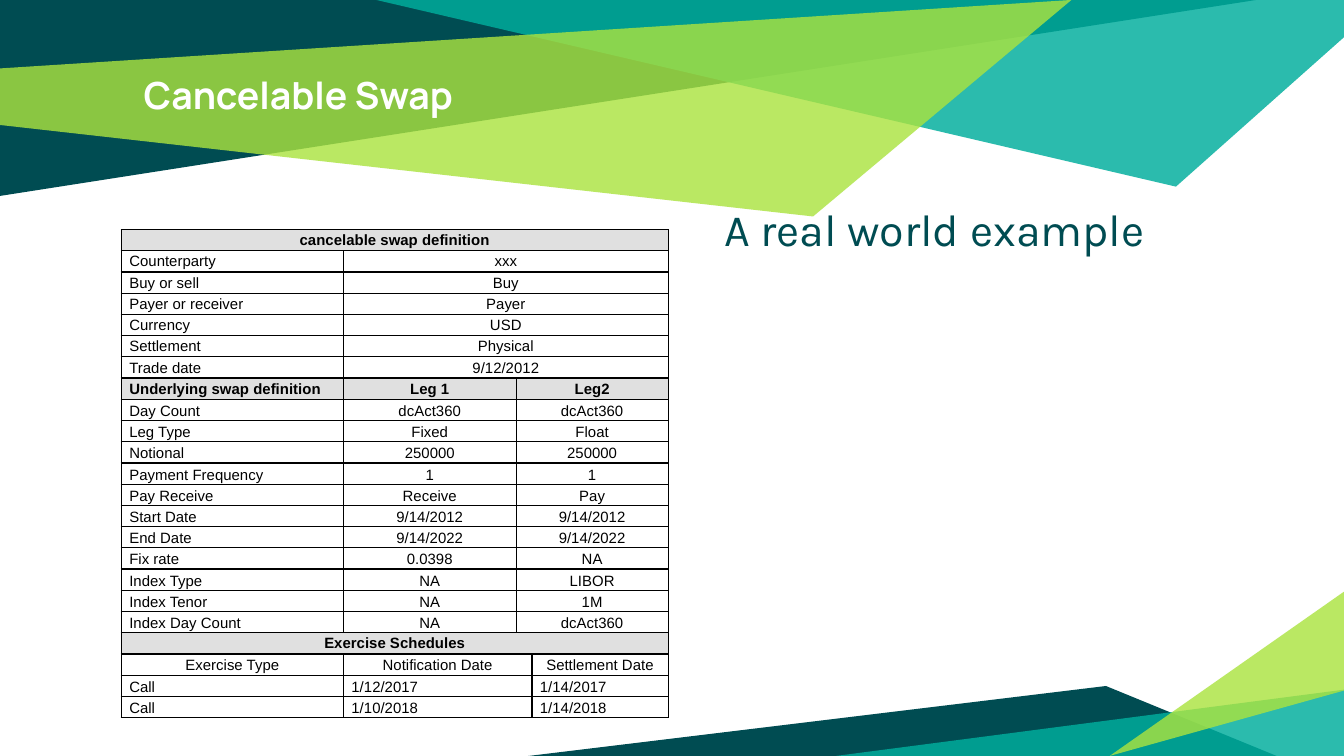
from lxml.etree import SubElement
from pptx import Presentation
from pptx.dml.color import RGBColor
from pptx.enum.text import MSO_ANCHOR, MSO_AUTO_SIZE, PP_ALIGN
from pptx.oxml import parse_xml
from pptx.oxml.ns import nsdecls, qn
from pptx.util import Pt

TOP, MIDDLE = MSO_ANCHOR.TOP, MSO_ANCHOR.MIDDLE
LEFT, CENTER = PP_ALIGN.LEFT, PP_ALIGN.CENTER
NO_FIT = MSO_AUTO_SIZE.NONE

WIDE, HIGH = 720, 405
DARK, TEAL, LIME = "004C52", "00AE9D", "ABE33F"
BLACK, WHITE, GREY = "000000", "FFFFFF", "E0E0E0"

BANDS = [
    (DARK, 100, [(0, 0), (0, 105), (673, 0)]),
    (TEAL, 83, [(201.6, 0), (630, 100), (WIDE, 20), (WIDE, 0)]),
    (LIME, 81, [(0, 36.7), (0, 67), (435.6, 116), (574, 0)]),
    (DARK, 100, [(283, HIGH), (684, HIGH), (592.5, 367.5)]),
    (TEAL, 83, [(WIDE, 369.5), (WIDE, HIGH), (448, HIGH)]),
    (LIME, 81, [(WIDE, 370), (WIDE, 317), (594.5, HIGH)]),
]

COLS = [119, 92.5, 8.5, 73]
ROW = 11.39
WHOLE, PAIR, LEGS, DATES = (0,), (0, 1), (0, 1, 2), (0, 1, 3)
PARTS = [
    (WHOLE, True, TOP, [CENTER], [["cancelable swap definition"]]),
    (PAIR, False, TOP, [LEFT, CENTER], [
        ["Counterparty", "xxx"],
        ["Buy or sell", "Buy"],
        ["Payer or receiver", "Payer"],
        ["Currency", "USD"],
        ["Settlement", "Physical"],
        ["Trade date", "9/12/2012"],
    ]),
    (LEGS, True, TOP, [LEFT, CENTER, CENTER], [
        ["Underlying swap definition", "Leg 1", "Leg2"],
    ]),
    (LEGS, False, MIDDLE, [LEFT, CENTER, CENTER], [
        ["Day Count", "dcAct360", "dcAct360"],
        ["Leg Type", "Fixed", "Float"],
        ["Notional", "250000", "250000"],
        ["Payment Frequency", "1", "1"],
        ["Pay Receive", "Receive", "Pay"],
        ["Start Date", "9/14/2012", "9/14/2012"],
        ["End Date", "9/14/2022", "9/14/2022"],
        ["Fix rate", "0.0398", "NA"],
        ["Index Type", "NA", "LIBOR"],
        ["Index Tenor", "NA", "1M"],
        ["Index Day Count", "NA", "dcAct360"],
    ]),
    (WHOLE, True, TOP, [CENTER], [["Exercise Schedules"]]),
    (DATES, False, TOP, [CENTER, CENTER, CENTER], [
        ["Exercise Type", "Notification Date", "Settlement Date"],
    ]),
    (DATES, False, MIDDLE, [LEFT, LEFT, LEFT], [
        ["Call", "1/12/2017", "1/14/2017"],
        ["Call", "1/10/2018", "1/14/2018"],
    ]),
]


def paint(fill, tone):
    fill.solid()
    fill.fore_color.rgb = RGBColor.from_string(tone)


def add_run(para, text, font, size, tone, bold=False):
    run = para.add_run()
    run.text = text
    run.font.name = font
    run.font.size = Pt(size)
    run.font.bold = bold
    paint(run.font.fill, tone)


def add_band(slide, tone, alpha, spots):
    spots = [(Pt(x), Pt(y)) for x, y in spots]
    pen = slide.shapes.build_freeform(*spots[0])
    pen.add_line_segments(spots[1:], close=True)
    band = pen.convert_to_shape()
    band.shadow.inherit = False
    band.line.fill.background()
    paint(band.fill, tone)
    if alpha < 100:
        clr = band.element.spPr.find(".//" + qn("a:srgbClr"))
        SubElement(clr, qn("a:alpha"), val=str(alpha * 1000))


def set_holder(shape, box, align):
    shape.left, shape.top, shape.width, shape.height = map(Pt, box)
    frame = shape.text_frame
    frame.auto_size = NO_FIT
    frame.word_wrap = True
    frame.vertical_anchor = TOP
    frame.margin_left = frame.margin_right = Pt(7.2)
    frame.margin_top = frame.margin_bottom = Pt(7.2)
    shape.element.getparent().append(shape.element)
    para = frame.paragraphs[0]
    para.alignment = align
    return para


def add_title(slide):
    para = set_holder(slide.shapes.title, (69.8, 31.7, 580.3, 46), LEFT)
    add_run(para, "Cancelable Swap", "Manrope", 20, WHITE, True)


def add_body(slide):
    para = set_holder(slide.placeholders[1], (332, 100.8, 331.2, 266.4), CENTER)
    para.space_before = Pt(6)
    props = para._p.get_or_add_pPr()
    props.set("marL", str(Pt(5.8)))
    props.set("indent", "0")
    SubElement(props, qn("a:buNone"))
    add_run(para, "A real world example", "Karla", 24, DARK)


def set_cell(cell, shade):
    cell.margin_left = cell.margin_right = Pt(4.3)
    cell.margin_top = cell.margin_bottom = 0
    if shade:
        paint(cell.fill, GREY)
    else:
        cell.fill.background()
    props = cell._tc.get_or_add_tcPr()
    for spot, side in enumerate("LRTB"):
        props.insert(spot, parse_xml(
            f'<a:ln{side} {nsdecls("a")} w="{Pt(0.75)}"><a:solidFill>'
            f'<a:srgbClr val="{BLACK}"/></a:solidFill></a:ln{side}>'))


def add_row(grid, row, starts, bold, anchor, aligns, texts):
    last = len(COLS)
    for col in range(last):
        set_cell(grid.cell(row, col), bold)
    ends = starts[1:] + (last,)
    for start, end, align, text in zip(starts, ends, aligns, texts):
        cell = grid.cell(row, start)
        if end - start > 1:
            cell.merge(grid.cell(row, end - 1))
        cell.vertical_anchor = anchor
        para = cell.text_frame.paragraphs[0]
        para.alignment = align
        para.line_spacing = 1.15
        add_run(para, text, "Arial", 8, BLACK, bold)


def add_grid(slide):
    rows = [(*part[:4], texts) for part in PARTS for texts in part[4]]
    frame = slide.shapes.add_table(len(rows), len(COLS), Pt(65), Pt(123),
                                   Pt(sum(COLS)), Pt(ROW * len(rows)))
    grid = frame.table
    grid.first_row = grid.horz_banding = False
    for col, width in zip(grid.columns, COLS):
        col.width = Pt(width)
    for row, facts in enumerate(rows):
        grid.rows[row].height = Pt(ROW)
        add_row(grid, row, *facts)


def main():
    deck = Presentation()
    deck.slide_width, deck.slide_height = Pt(WIDE), Pt(HIGH)
    slide = deck.slides.add_slide(deck.slide_layouts[1])
    for band in BANDS:
        add_band(slide, *band)
    add_title(slide)
    add_body(slide)
    add_grid(slide)
    deck.save("out.pptx")


if __name__ == "__main__":
    main()
